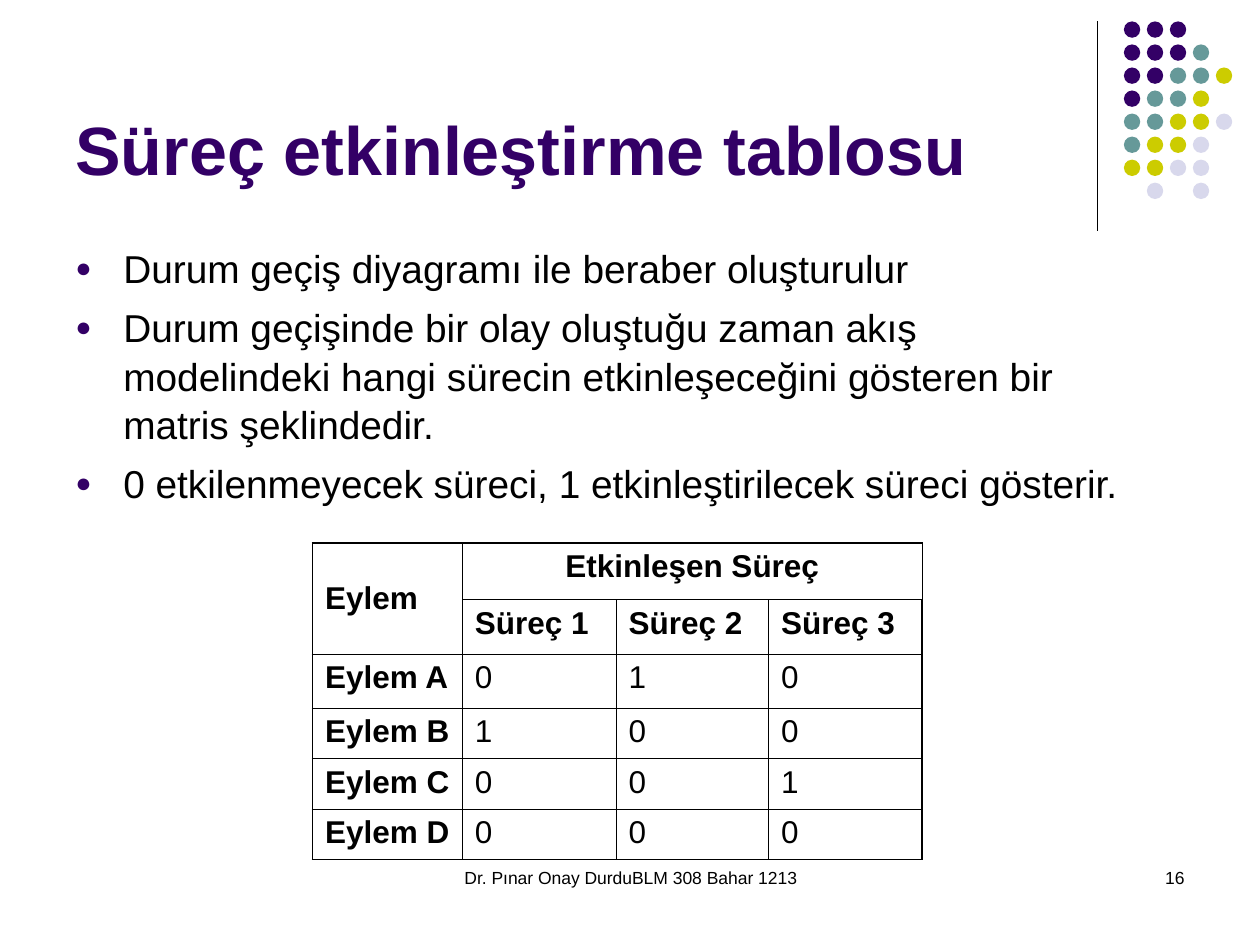
from lxml import etree
from pptx import Presentation
from pptx.dml.color import RGBColor
from pptx.enum.shapes import MSO_CONNECTOR, MSO_SHAPE
from pptx.enum.text import MSO_ANCHOR as Anchor, PP_ALIGN as Align
from pptx.oxml.ns import qn
from pptx.util import Inches, Pt

BLACK = RGBColor(0x00, 0x00, 0x00)
PURPLE = RGBColor(0x33, 0x00, 0x66)
TEAL = RGBColor(0x66, 0x99, 0x99)
OLIVE = RGBColor(0xCC, 0xCC, 0x00)
LAVENDER = RGBColor(0xD8, 0xD8, 0xEC)

FONT = "Arial"
DOT_COLORS = {"P": PURPLE, "T": TEAL, "O": OLIVE, "L": LAVENDER}
DOT_ROWS = ["PPP  ", "PPPT ", "PPTTO", "PTTO ", "TTOOL", "TOOL ", "OOLL ", " L L "]

BULLETS = [
    "Durum geçiş diyagramı ile beraber oluşturulur",
    "Durum geçişinde bir olay oluştuğu zaman akış modelindeki hangi sürecin "
    "etkinleşeceğini gösteren bir matris şeklindedir.",
    "0 etkilenmeyecek süreci, 1 etkinleştirilecek süreci gösterir.",
]

ACTIVATION = [
    ["Eylem", "Etkinleşen Süreç", "", ""],
    ["", "Süreç 1", "Süreç 2", "Süreç 3"],
    ["Eylem A", "0", "1", "0"],
    ["Eylem B", "1", "0", "0"],
    ["Eylem C", "0", "0", "1"],
    ["Eylem D", "0", "0", "0"],
]
HEADER_ROWS = 2
COLUMN_WIDTHS = [1.19, 1.22, 1.21, 1.22]
ROW_HEIGHTS = [0.45, 0.43, 0.43, 0.4, 0.4, 0.4]
OUTER_LINE, INNER_LINE = Pt(1.08), Pt(0.45)


def add_child(parent, tag, **attributes):
    return etree.SubElement(parent, qn(tag), {k: str(v) for k, v in attributes.items()})


def style(paragraph, size, color=BLACK, bold=False, align=Align.LEFT):
    paragraph.alignment = align
    for run in paragraph.runs:
        run.font.name = FONT
        run.font.size = Pt(size)
        run.font.bold = bold
        run.font.color.rgb = color


def add_text(slide, box, text, size, anchor=Anchor.TOP, **look):
    frame = slide.shapes.add_textbox(*map(Inches, box)).text_frame
    frame.word_wrap = True
    frame.vertical_anchor = anchor
    frame.text = text
    for paragraph in frame.paragraphs:
        style(paragraph, size, **look)
    return frame


def add_divider(slide, x, top, bottom):
    divider = slide.shapes.add_connector(
        MSO_CONNECTOR.STRAIGHT, Inches(x), Inches(top), Inches(x), Inches(bottom))
    divider.line.color.rgb = BLACK
    divider.line.width = Pt(0.75)
    add_child(divider._element.spPr, "a:effectLst")


def add_dot_grid(slide, box, dot=0.13):
    left, top, width, height = box
    step_x = (width - dot) / (len(DOT_ROWS[0]) - 1)
    step_y = (height - dot) / (len(DOT_ROWS) - 1)
    dots = slide.shapes.add_group_shape().shapes
    for row, keys in enumerate(DOT_ROWS):
        for col, key in enumerate(keys):
            if key == " ":
                continue
            circle = dots.add_shape(
                MSO_SHAPE.OVAL, Inches(left + col * step_x), Inches(top + row * step_y),
                Inches(dot), Inches(dot))
            circle.shadow.inherit = False
            circle.fill.solid()
            circle.fill.fore_color.rgb = DOT_COLORS[key]
            circle.line.fill.background()


def add_bullets(slide, box):
    frame = add_text(slide, box, "\n".join(BULLETS), 22.2)
    indent = Inches(0.38)
    for index, paragraph in enumerate(frame.paragraphs):
        paragraph.line_spacing = 1.04
        if index:
            paragraph.space_before = Pt(6)
        properties = paragraph._p.get_or_add_pPr()
        properties.set("marL", str(indent))
        properties.set("indent", str(-indent))
        add_child(add_child(properties, "a:buClr"), "a:srgbClr", val=PURPLE)
        add_child(properties, "a:buSzPct", val=70000)
        add_child(properties, "a:buFont", typeface=FONT)
        add_child(properties, "a:buChar", char="●")


def set_borders(cell, row, col):
    last_row, last_col = len(ROW_HEIGHTS) - 1, len(COLUMN_WIDTHS) - 1
    on_edge = {"a:lnL": col == 0, "a:lnR": col == last_col,
               "a:lnT": row == 0, "a:lnB": row == last_row}
    properties = cell._tc.get_or_add_tcPr()
    for tag, outer in on_edge.items():
        border = add_child(properties, tag, w=OUTER_LINE if outer else INNER_LINE)
        add_child(add_child(border, "a:solidFill"), "a:srgbClr", val=BLACK)


def add_activation_table(slide, left, top):
    table = slide.shapes.add_table(
        len(ROW_HEIGHTS), len(COLUMN_WIDTHS), Inches(left), Inches(top),
        Inches(sum(COLUMN_WIDTHS)), Inches(sum(ROW_HEIGHTS))).table
    table.first_row = table.horz_banding = False
    for column, width in zip(table.columns, COLUMN_WIDTHS):
        column.width = Inches(width)
    for table_row, height in zip(table.rows, ROW_HEIGHTS):
        table_row.height = Inches(height)

    for row, values in enumerate(ACTIVATION):
        for col, value in enumerate(values):
            cell = table.cell(row, col)
            set_borders(cell, row, col)
            cell.fill.background()
            cell.text_frame.text = value
            style(cell.text_frame.paragraphs[0], 18, bold=row < HEADER_ROWS or col == 0)

    # Header cells that span rows or columns
    event_header, process_header = table.cell(0, 0), table.cell(0, 1)
    event_header.merge(table.cell(1, 0))
    event_header.vertical_anchor = Anchor.MIDDLE
    process_header.merge(table.cell(0, 3))
    process_header.text_frame.paragraphs[0].alignment = Align.CENTER


def main():
    deck = Presentation()
    deck.slide_width, deck.slide_height = Inches(10), Inches(7.5)
    slide = deck.slides.add_slide(deck.slide_layouts[6])

    # Corner decoration
    add_divider(slide, 8.71, 0.17, 1.83)
    add_dot_grid(slide, (8.92, 0.17, 0.86, 1.41))

    # Footer
    add_text(slide, (3.42, 6.83, 3.17, 0.5), "Dr. Pınar Onay DurduBLM 308 Bahar 1213",
             10, align=Align.CENTER)
    add_text(slide, (7.17, 6.83, 2.33, 0.5), "16", 10, align=Align.RIGHT)

    # Title and content
    add_text(slide, (0.5, 0.13, 8.25, 1.42), "Süreç etkinleştirme tablosu", 39,
             anchor=Anchor.BOTTOM, color=PURPLE, bold=True)
    add_bullets(slide, (0.5, 1.88, 8.52, 2.34))
    add_activation_table(slide, 2.48, 4.31)

    deck.save("out.pptx")


if __name__ == "__main__":
    main()
